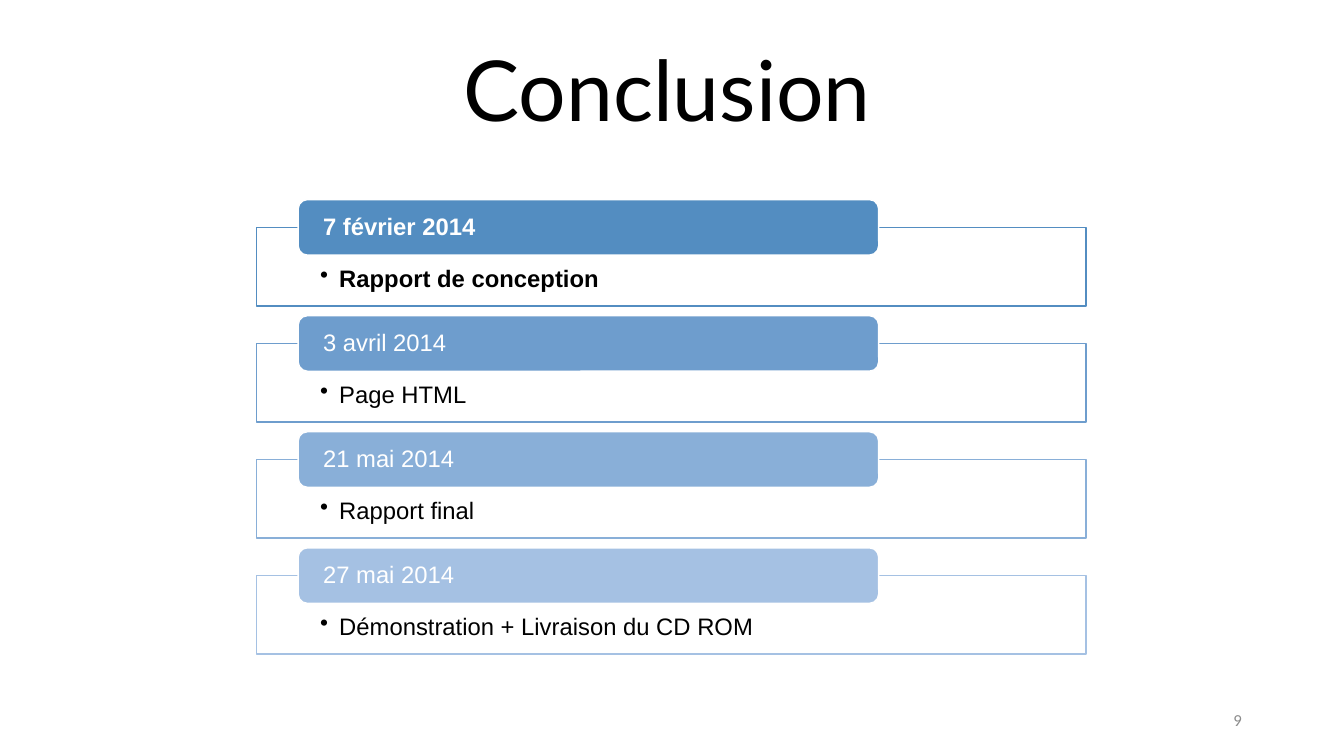
import pptx
import pptx.util
import pptx.dml.color
import pptx.enum.shapes
import pptx.enum.text
import pptx.oxml
import pptx.oxml.ns

Cm, Pt = pptx.util.Cm, pptx.util.Pt
RGBColor = pptx.dml.color.RGBColor
MSO_SHAPE = pptx.enum.shapes.MSO_SHAPE
MSO_ANCHOR = pptx.enum.text.MSO_ANCHOR
PP_ALIGN = pptx.enum.text.PP_ALIGN

BLACK = RGBColor(0x00, 0x00, 0x00)
WHITE = RGBColor(0xFF, 0xFF, 0xFF)
GREY = RGBColor(0x8C, 0x8C, 0x8C)
BLUES = [
    RGBColor(0x53, 0x8D, 0xC1),
    RGBColor(0x6E, 0x9D, 0xCD),
    RGBColor(0x89, 0xAF, 0xD8),
    RGBColor(0xA5, 0xC1, 0xE3),
]

# Date, deliverable, emphasised
MILESTONES = [
    ("7 février 2014", "Rapport de conception", True),
    ("3 avril 2014", "Page HTML", False),
    ("21 mai 2014", "Rapport final", False),
    ("27 mai 2014", "Démonstration + Livraison du CD ROM", False),
]


def set_text(sp, text, font, size, color, align, anchor, bold=False):
    tf = sp.text_frame
    tf.word_wrap = True
    tf.vertical_anchor = anchor
    tf.text = text
    p = tf.paragraphs[0]
    p.alignment = align
    p.line_spacing = 0.9
    f = p.runs[0].font
    f.name, f.size, f.bold = font, Pt(size), bold
    f.color.rgb = color
    return p


def set_margins(sp, side, top=0, bottom=0):
    tf = sp.text_frame
    tf.margin_left = tf.margin_right = Cm(side)
    tf.margin_top, tf.margin_bottom = Cm(top), Cm(bottom)


def add_bullet(p):
    pPr = p._p.get_or_add_pPr()
    pPr.set("marL", str(Cm(0.48)))
    pPr.set("indent", str(-Cm(0.48)))
    bu = pptx.oxml.parse_xml(
        '<a:buChar %s char="•"/>' % pptx.oxml.ns.nsdecls("a"))
    pPr.append(bu)


def add_box(s, kind, left, top, width, height, fill, line):
    sp = s.shapes.add_shape(kind, Cm(left), Cm(top), Cm(width), Cm(height))
    sp.shadow.inherit = False
    sp.fill.solid()
    sp.fill.fore_color.rgb = fill
    sp.line.color.rgb = line
    sp.line.width = Pt(1)
    return sp


def add_title(s, left, top, width, height):
    sp = s.shapes.title
    sp.left, sp.top, sp.width, sp.height = Cm(left), Cm(top), Cm(width), Cm(height)
    set_text(sp, "Conclusion", "Lato", 60, BLACK, PP_ALIGN.CENTER, MSO_ANCHOR.BOTTOM)


def add_milestone(s, left, top, width, color, milestone):
    date, deliverable, bold = milestone
    label_height = 1.4

    # Outlined frame, starting at the middle of the date label
    frame = add_box(s, MSO_SHAPE.RECTANGLE, left, top + label_height / 2,
                    width, 1.98, WHITE, color)
    set_margins(frame, 1.6, 0.99, 0.33)
    p = set_text(frame, deliverable, "Arial", 17, BLACK,
                 PP_ALIGN.LEFT, MSO_ANCHOR.TOP, bold)
    add_bullet(p)

    # Date label
    label = add_box(s, MSO_SHAPE.ROUNDED_RECTANGLE, left + width * 0.05, top,
                    width * 0.7, label_height, color, WHITE)
    set_margins(label, 0.56)
    set_text(label, date, "Arial", 17, WHITE, PP_ALIGN.LEFT, MSO_ANCHOR.MIDDLE, bold)


def add_schedule(s, left, top, width, height):
    pitch = height / len(MILESTONES)
    for i, (color, milestone) in enumerate(zip(BLUES, MILESTONES)):
        add_milestone(s, left, top + i * pitch, width, color, milestone)


def add_page_number(s, left, top, width, height):
    sp = s.shapes.add_textbox(Cm(left), Cm(top), Cm(width), Cm(height))
    set_text(sp, "9", "Calibri", 12, GREY, PP_ALIGN.RIGHT, MSO_ANCHOR.MIDDLE)


def main():
    prs = pptx.Presentation()
    prs.slide_width, prs.slide_height = Cm(33.87), Cm(19.05)
    s = prs.slides.add_slide(prs.slide_layouts[5])
    add_title(s, 4.11, 0.97, 25.4, 2.67)
    add_schedule(s, 6.47, 5.03, 20.9, 11.7)
    add_page_number(s, 23.93, 17.65, 7.62, 1.02)
    prs.save("out.pptx")


if __name__ == "__main__":
    main()
